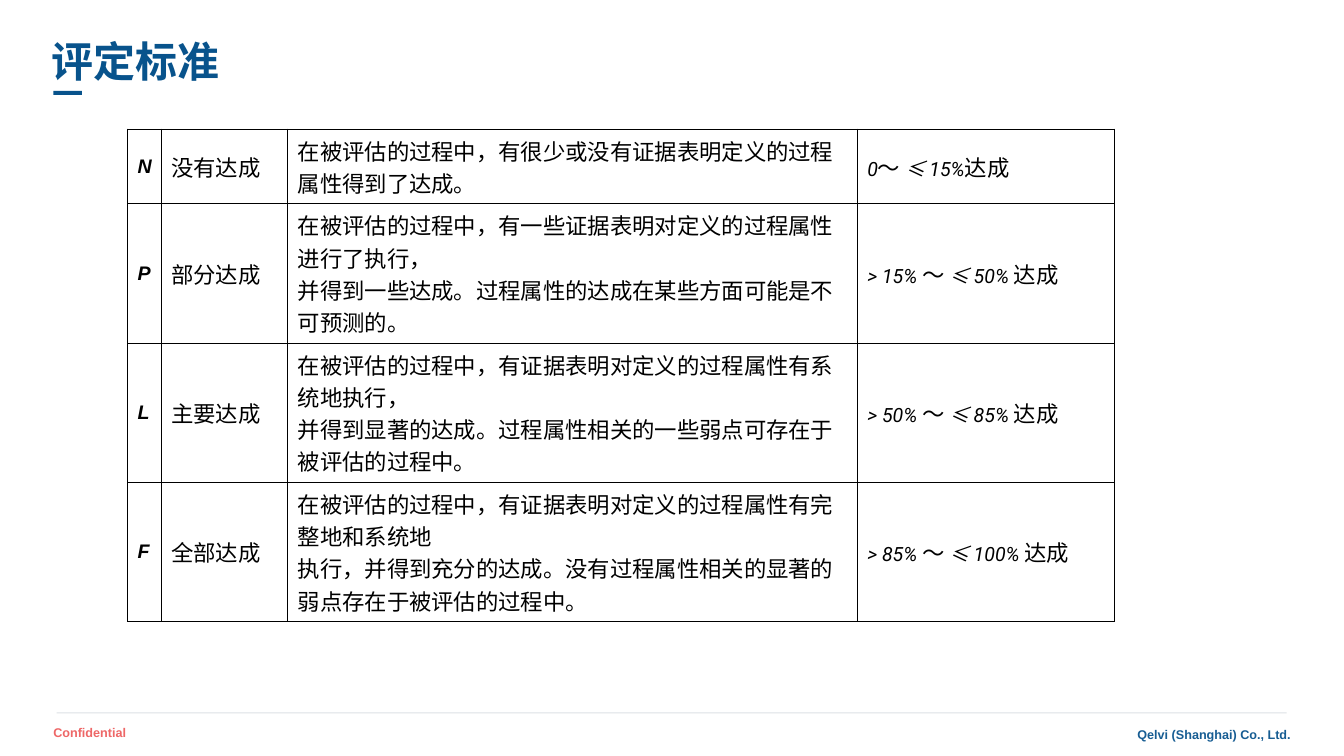
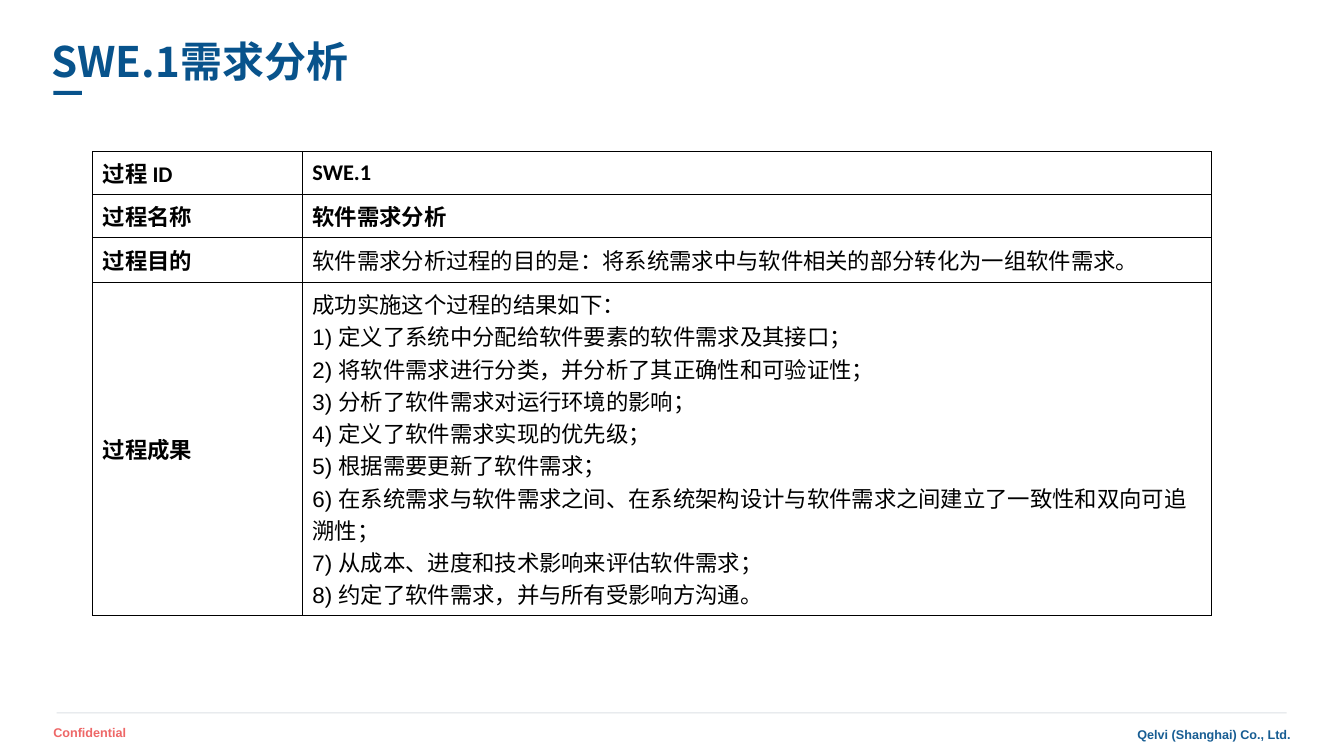
from pptx import Presentation
from pptx.dml.color import RGBColor
from pptx.enum.shapes import MSO_SHAPE as SHAPE
from pptx.enum.text import MSO_ANCHOR as ANCHOR, PP_ALIGN as ALIGN
from pptx.oxml.ns import qn
from pptx.util import Pt
from lxml.etree import SubElement, Element

COLORS = {"title": "08538C", "rule": "DDE1E5", "notice": "EE6767",
          "company": "175D93", "ink": "000000"}
CJK = "Noto Sans CJK SC"

ARIAL = {"font": "Arial"}
CALIBRI = {"font": "Calibri"}
BOLD = {"font": "Arial", "bold": True}
LETTER = {"font": "Arial", "size": 14, "bold": True, "italic": True}
RANGE = {"size": 14, "italic": True}

RATINGS = [
    ("N", "没有达成",
     ["在被评估的过程中，有很少或没有证据表明定义的过程属性得到了达成。"],
     "0", "≤ 15%"),
    ("P", "部分达成",
     ["在被评估的过程中，有一些证据表明对定义的过程属性进行了执行，",
      "并得到一些达成。过程属性的达成在某些方面可能是不可预测的。"],
     "> 15% ", "≤ 50% "),
    ("L", "主要达成",
     ["在被评估的过程中，有证据表明对定义的过程属性有系统地执行，",
      "并得到显著的达成。过程属性相关的一些弱点可存在于被评估的过程中。"],
     "> 50% ", "≤ 85% "),
    ("F", "全部达成",
     ["在被评估的过程中，有证据表明对定义的过程属性有完整地和系统地",
      "执行，并得到充分的达成。没有过程属性相关的显著的弱点存在于被评估的过程中。"],
     "> 85% ", "≤ 100% "),
]

OUTCOMES = [
    "定义了系统中分配给软件要素的软件需求及其接口；",
    "将软件需求进行分类，并分析了其正确性和可验证性；",
    "分析了软件需求对运行环境的影响；",
    "定义了软件需求实现的优先级；",
    "根据需要更新了软件需求；",
    "在系统需求与软件需求之间、在系统架构设计与软件需求之间建立了一致性和双向可追溯性；",
    "从成本、进度和技术影响来评估软件需求；",
    "约定了软件需求，并与所有受影响方沟通。",
]


def write(tf, paragraphs, align=None, spacing=None, **base):
    for i, runs in enumerate(paragraphs):
        p = tf.paragraphs[0] if i == 0 else tf.add_paragraph()
        p.alignment = align
        p.line_spacing = spacing
        for text, changes in [(runs, {})] if isinstance(runs, str) else runs:
            fmt = {"font": "Roboto", "size": 16, "color": "ink",
                   "bold": False, "italic": False, **base, **changes}
            r = p.add_run()
            r.text = text
            r.font.size = Pt(fmt["size"])
            r.font.bold = fmt["bold"]
            r.font.italic = fmt["italic"]
            r.font.color.rgb = RGBColor.from_string(COLORS[fmt["color"]])
            r.font.name = fmt["font"]
            SubElement(r.font._element, qn("a:ea"), typeface=CJK)


def add_text(s, box, text, anchor=ANCHOR.TOP, **fmt):
    tf = s.shapes.add_textbox(*map(Pt, box)).text_frame
    tf.word_wrap = True
    tf.vertical_anchor = anchor
    write(tf, [text], **fmt)


def add_bar(s, box, color):
    sp = s.shapes.add_shape(SHAPE.RECTANGLE, *map(Pt, box))
    sp.shadow.inherit = False
    sp.fill.solid()
    sp.fill.fore_color.rgb = RGBColor.from_string(COLORS[color])
    sp.line.fill.background()


def add_borders(cell, width):
    tc_pr = cell._tc.get_or_add_tcPr()
    for i, side in enumerate(("lnL", "lnR", "lnT", "lnB")):
        ln = Element(qn(f"a:{side}"), w=str(Pt(width)))
        fill = SubElement(ln, qn("a:solidFill"))
        SubElement(fill, qn("a:srgbClr"), val=COLORS["ink"])
        tc_pr.insert(i, ln)


def add_grid(s, left, top, widths, heights, rows, border):
    frame = s.shapes.add_table(len(heights), len(widths), Pt(left), Pt(top),
                               Pt(sum(widths)), Pt(sum(heights)))
    table = frame.table
    table.first_row = table.horz_banding = False
    for column, width in zip(table.columns, widths):
        column.width = Pt(width)
    for row, height, contents in zip(table.rows, heights, rows):
        row.height = Pt(height)
        for cell, (paragraphs, fmt) in zip(row.cells, contents):
            cell.vertical_anchor = ANCHOR.MIDDLE
            cell.fill.background()
            add_borders(cell, border)
            write(cell.text_frame, paragraphs, **fmt)


def add_page(prs, title):
    s = prs.slides.add_slide(prs.slide_layouts[6])
    add_bar(s, (40.5, 508.8, 878.5, 0.75), "rule")
    add_text(s, (31, 514, 200, 18), "Confidential",
             font="Arial", size=9, bold=True, color="notice")
    add_text(s, (512, 515.5, 417, 18), "Qelvi (Shanghai) Co., Ltd.",
             align=ALIGN.RIGHT, font="Arial", size=9, bold=True, color="company")
    add_bar(s, (38.2, 65, 20.4, 2.9), "title")
    add_text(s, (29.5, 23, 828, 46), title, anchor=ANCHOR.MIDDLE,
             spacing=0.9, font=CJK, size=30, bold=True, color="title")
    return s


def rating_slide(prs):
    s = add_page(prs, "评定标准")
    rows = [[([letter], LETTER), ([name], {}), (meaning, {}),
             ([[(low, RANGE), ("～ ", CALIBRI), (high, RANGE), ("达成", {})]], {})]
            for letter, name, meaning, low, high in RATINGS]
    add_grid(s, 91.2, 92.3, [23.9, 90.4, 406.8, 183.9],
             [53.3] + [99.5] * 3, rows, 1)


def process_slide(prs):
    s = add_page(prs, "SWE.1需求分析")
    outcomes = [[(f"{n}) ", ARIAL), (text, {})]
                for n, text in enumerate(OUTCOMES, 1)]
    rows = [
        [([[("过程 ", {}), ("ID", CALIBRI)]], BOLD),
         (["SWE.1"], {**BOLD, **CALIBRI})],
        [(["过程名称"], BOLD), (["软件需求分析"], BOLD)],
        [(["过程目的"], BOLD),
         (["软件需求分析过程的目的是：将系统需求中与软件相关的部分转化为一组软件需求。"], {})],
        [(["过程成果"], BOLD), (["成功实施这个过程的结果如下："] + outcomes, {})],
    ]
    add_grid(s, 66.2, 108.3, [149.8, 649.4], [30.5, 30.5, 32.5, 238], rows, 0.5)


def main():
    prs = Presentation()
    prs.slide_width, prs.slide_height = Pt(960), Pt(540)
    rating_slide(prs)
    process_slide(prs)
    prs.save("out.pptx")


if __name__ == "__main__":
    main()
